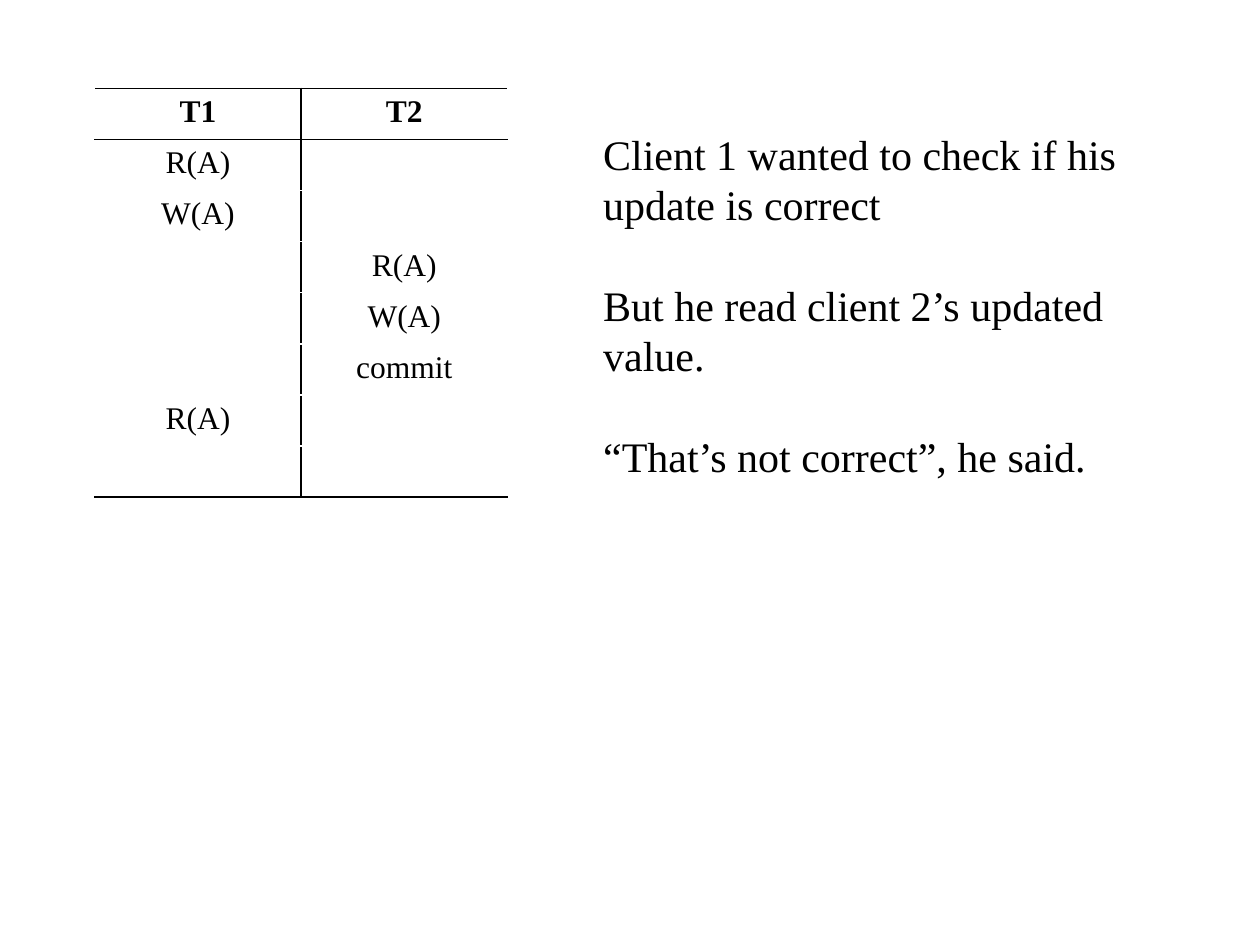
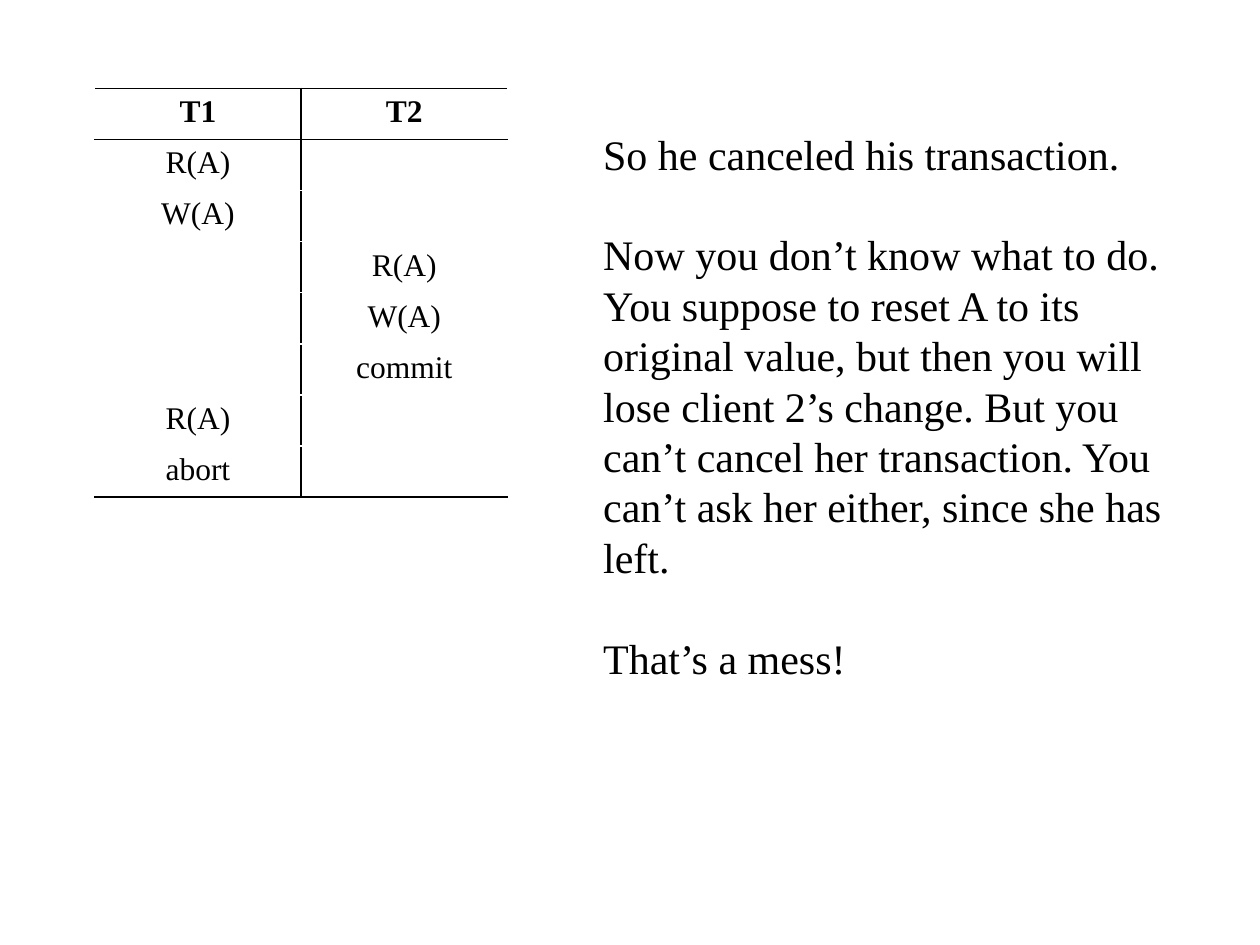
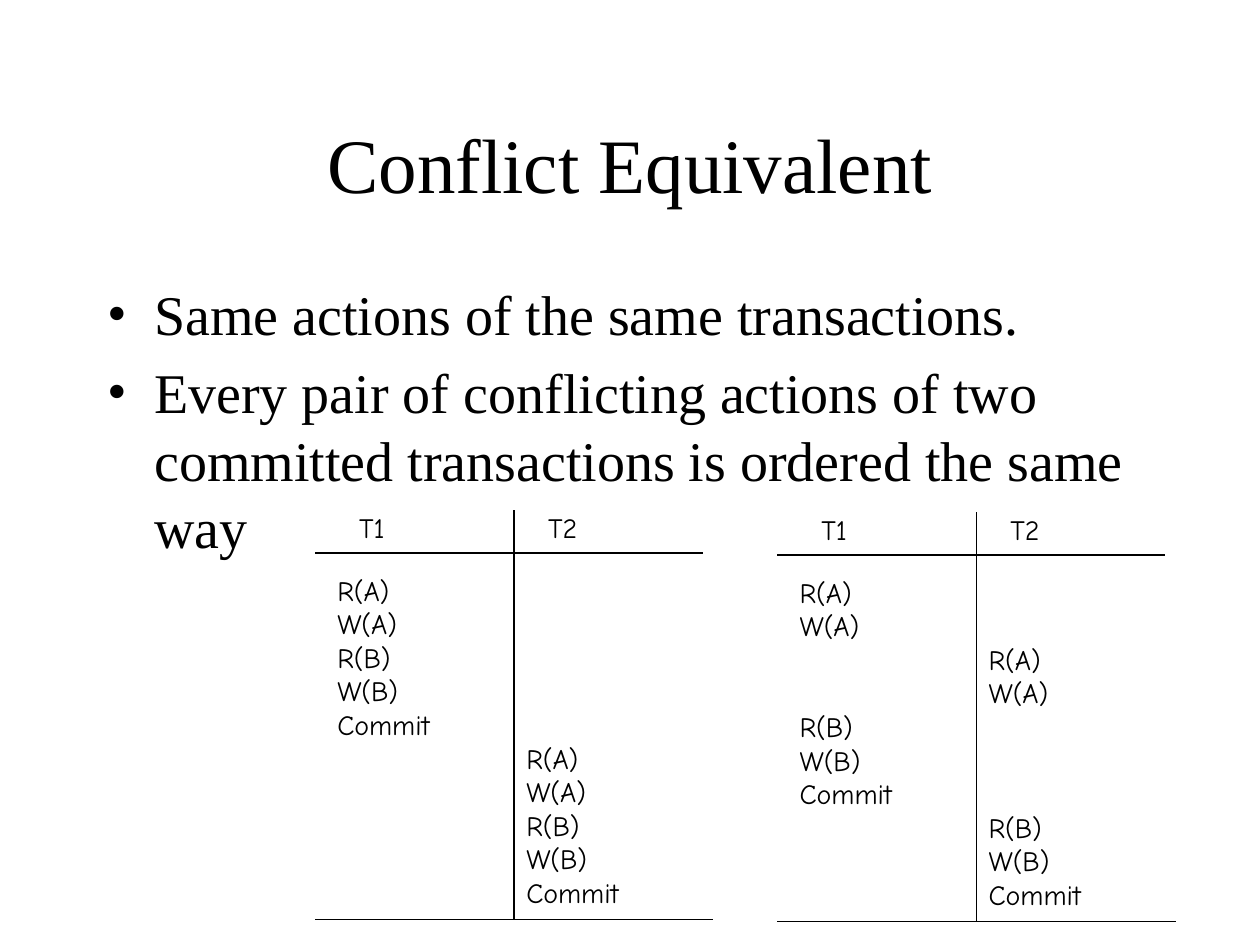
import pptx
import pptx.dml.color
import pptx.enum.shapes
import pptx.enum.text
import pptx.oxml.ns
import pptx.util
from lxml import etree

Cm, Pt = pptx.util.Cm, pptx.util.Pt
ALIGN, ANCHOR = pptx.enum.text.PP_ALIGN, pptx.enum.text.MSO_ANCHOR
COLOURS = {"ink": "000000", "paper": "FFFFFF"}
SERIF, HAND = "Times New Roman", "Comic Neue"


def add_element(parent, tag, **attributes):
    return etree.SubElement(parent, pptx.oxml.ns.qn(tag), **attributes)


def write(frame, paragraphs, size=18, font=SERIF, bold=False, align=ALIGN.LEFT,
          before=0, bullet=None, indent=0, tab=None):
    """Fill a text frame; 'before' is the space between paragraphs."""
    for index, text in enumerate(paragraphs):
        para = frame.paragraphs[0] if index == 0 else frame.add_paragraph()
        para.alignment = align
        para.space_before = Pt(before if index or bullet else 0)
        properties = para._p.get_or_add_pPr()
        if bullet:
            properties.set("marL", str(Cm(indent)))
            properties.set("indent", str(-Cm(indent)))
            add_element(properties, "a:buFont", typeface=font)
            add_element(properties, "a:buChar", char=bullet)
        if tab:
            stops = add_element(properties, "a:tabLst")
            add_element(stops, "a:tab", pos=str(Cm(tab)), algn="l")
        span = para.add_run()
        span.text = text
        span.font.size, span.font.name, span.font.bold = Pt(size), font, bold
        span.font.color.rgb = pptx.dml.color.RGBColor.from_string(COLOURS["ink"])


class Deck:
    def __init__(self):
        self.deck = pptx.Presentation()
        self.deck.slide_width, self.deck.slide_height = Cm(25.4), Cm(19.05)
        self.page = None

    def new_page(self):
        self.page = self.deck.slides.add_slide(self.deck.slide_layouts[6])
        fill = self.page.background.fill
        fill.solid()
        fill.fore_color.rgb = pptx.dml.color.RGBColor.from_string(COLOURS["paper"])

    def text(self, left, top, width, height, paragraphs, anchor=ANCHOR.TOP, **style):
        box = self.page.shapes.add_textbox(Cm(left), Cm(top), Cm(width), Cm(height))
        box.text_frame.word_wrap = True
        box.text_frame.vertical_anchor = anchor
        write(box.text_frame, paragraphs, **style)

    def line(self, left, top, right, bottom):
        line = self.page.shapes.add_connector(
            pptx.enum.shapes.MSO_CONNECTOR.STRAIGHT,
            Cm(left), Cm(top), Cm(right), Cm(bottom))
        line.line.width = Pt(0.75)
        line.line.color.rgb = pptx.dml.color.RGBColor.from_string(COLOURS["ink"])
        add_element(line._element.spPr, "a:effectLst")

    def border(self, cell, side, colour):
        line = add_element(cell._tc.get_or_add_tcPr(), "a:ln" + side, w=str(Pt(1)))
        add_element(add_element(line, "a:solidFill"), "a:srgbClr", val=COLOURS[colour])

    def table(self, left, top, column_width, row_height, rows):
        """Two columns, ruled above and below the header, at the foot and between."""
        table = self.page.shapes.add_table(
            len(rows), 2, Cm(left), Cm(top),
            Cm(2 * column_width), Cm(len(rows) * row_height)).table
        table.first_row = table.horz_banding = False
        for row_index, row in enumerate(rows):
            above = "ink" if row_index < 2 else "paper"
            below = "ink" if row_index in (0, len(rows) - 1) else "paper"
            for column, text in enumerate(row):
                cell = table.cell(row_index, column)
                sides = ("paper", "ink") if column == 0 else ("ink", "paper")
                for side, colour in zip("LRTB", (*sides, above, below)):
                    self.border(cell, side, colour)
                cell.fill.background()
                if text:
                    write(cell.text_frame, [text], bold=row_index == 0,
                          align=ALIGN.CENTER)

    def story(self, last_action, height, paragraphs):
        """A page with the transaction table and the story beside it."""
        self.new_page()
        self.table(1.91, 1.78, 4.16, 1.03, [
            ("T1", "T2"), ("R(A)", ""), ("W(A)", ""), ("", "R(A)"), ("", "W(A)"),
            ("", "commit"), ("R(A)", ""), (last_action, "")])
        self.text(11.91, 2.46, 12.29, height, paragraphs, size=24, before=28.8)

    def schedule(self, left, top, actions):
        """A ruled schedule; a leading tab puts an action under T2."""
        style = {"size": 16, "font": HAND, "tab": 3.81}
        foot = top + 8.38
        self.text(left + 0.2, top + 1.27, 6.3, 7.09, actions, **style)
        self.line(left, foot, left + 8.03, foot)
        self.line(left, top + 0.99, left + 7.82, top + 0.99)
        self.line(left + 4.01, top + 0.13, left + 4.01, foot)
        self.text(left + 0.64, top, 5.11, 0.94, ["T1\tT2"], **style)


slides = Deck()

# Slide 1: the second read
slides.story("", 8.46, [
    "Client 1 wanted to check if his update is correct",
    "But he read client 2’s updated value.",
    "“That’s not correct”, he said."])

# Slide 2: the abort
slides.story("abort", 12.57, [
    "So he canceled his transaction.",
    "Now you don’t know what to do. You suppose to reset A to its original value, "
    "but then you will lose client 2’s change. But you can’t cancel her "
    "transaction. You can’t ask her either, since she has left.",
    "That’s a mess!"])

# Slide 3: conflict equivalence
slides.new_page()
slides.text(1.91, 1.7, 21.59, 3.18, ["Conflict Equivalent"], size=44,
            align=ALIGN.CENTER, anchor=ANCHOR.MIDDLE)
slides.text(1.91, 5.51, 21.59, 11.43, [
    "Same actions of the same transactions.",
    "Every pair of conflicting actions of two committed transactions "
    "is ordered the same way"], size=32, before=6.4, bullet="•", indent=0.95)

# Serial schedule on the left, interleaved one on the right
on_a, on_b = ["R(A)", "W(A)"], ["R(B)", "W(B)", "Commit"]
second_a, second_b = (["\t" + action for action in part] for part in (on_a, on_b))
slides.schedule(6.35, 10.16, on_a + on_b + second_a + second_b)
slides.schedule(15.67, 10.2, on_a + second_a + on_b + second_b)

slides.deck.save("out.pptx")
